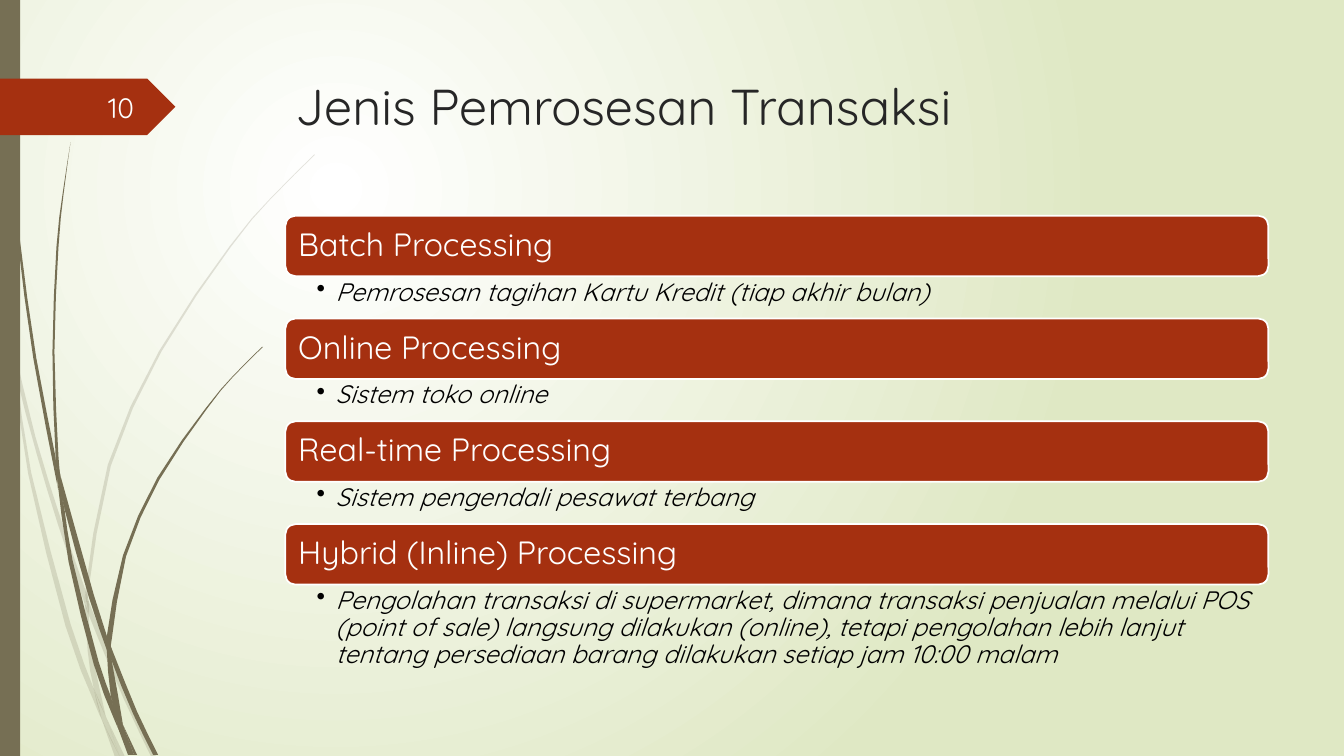
from lxml.etree import SubElement
from pptx import Presentation
from pptx.dml.color import RGBColor
from pptx.enum.shapes import MSO_SHAPE as Shape
from pptx.enum.text import MSO_ANCHOR as Anchor, MSO_AUTO_SIZE as AutoSize, PP_ALIGN as Align
from pptx.oxml import parse_xml
from pptx.oxml.ns import nsdecls, qn
from pptx.util import Inches, Pt

FONT = "Quicksand"
RUST = RGBColor(0xA5, 0x30, 0x10)
OLIVE = RGBColor(0x76, 0x6F, 0x54)
INK = RGBColor(0x26, 0x26, 0x26)
BLACK = RGBColor(0, 0, 0)
WHITE = RGBColor(0xFF, 0xFF, 0xFF)
NEAR_WHITE = RGBColor(0xFE, 0xFF, 0xFF)
PALE_GREEN = RGBColor(0xDF, 0xE8, 0xC4)

WIDTH, HEIGHT = 13.33, 7.5
LEFT, COLUMN = 2.83, 9.75
PITCH, BAR, LINE = 1.02, 0.6, 0.42
STEPS = 2

PALE_BLADES = [
    ([(0, 2.82), (.09, 3.22), (.11, 3.5)], [(0, 2.99), (.1, 3.44), (.11, 3.5)]),
    ([(.14, 3.45), (.35, 4.33), (.62, 5.2), (.85, 5.86)],
     [(.14, 3.45), (.17, 3.76), (.36, 4.49), (.58, 5.22), (.84, 5.99)]),
    ([(.88, 5.96), (.92, 6.07), (1.27, 6.92), (1.55, 7.51)],
     [(.88, 5.96), (.88, 6.1), (1.23, 6.94), (1.5, 7.51)]),
    ([(1.05, 7.11), (1.24, 7.51)], [(1.05, 7.11), (1.19, 7.51)]),
    ([(.11, 3.5), (.17, 3.76), (.31, 4.69), (.7, 6.19), (.93, 6.83), (1.01, 7.14)],
     [(.11, 3.5), (.28, 4.7), (.65, 6.21), (.92, 6.93), (1.01, 7.14)]),
    ([(.84, 5.99), (.88, 6.1), (.91, 6.46), (1.05, 7.11)],
     [(.84, 5.99), (.87, 6.46), (.93, 6.83), (1.05, 7.11)]),
    ([(3.12, 1.53), (2.68, 1.97), (2.28, 2.44), (1.58, 3.48), (1.07, 4.61), (.85, 5.84), (.88, 5.96)],
     [(3.12, 1.54), (2.68, 1.98), (2.29, 2.45), (1.6, 3.49), (1.1, 4.62), (.88, 5.84), (.88, 5.96)]),
    ([(1.01, 7.14), (1.19, 7.51)], [(1.01, 7.14), (1.14, 7.51)]),
    ([(.85, 5.86), (.88, 5.96), (.88, 6.1)], [(.85, 5.86), (.84, 5.99), (.88, 6.1)]),
    ([(.93, 6.83), (1.05, 7.11), (1.19, 7.51)], [(.93, 6.83), (1.01, 7.14), (1.19, 7.51)]),
]
DARK_BLADES = [
    ([(.04, 0), (.05, .48), (.08, 1.09), (.19, 2.32), (.36, 3.55), (.55, 4.53), (.57, 4.81)],
     [(.03, 0), (.04, .48), (.07, 1.1), (.17, 2.33), (.33, 3.55), (.56, 4.77), (.57, 4.81)]),
    ([(.6, 4.72), (.93, 5.9), (1.06, 6.31), (1.06, 6.45)],
     [(.6, 4.72), (.64, 5.05), (.88, 5.92), (1.06, 6.45)]),
    ([(1.1, 6.41), (1.13, 6.49), (1.36, 7.06), (1.57, 7.49)],
     [(1.1, 6.41), (1.11, 6.56), (1.32, 7.08), (1.52, 7.49)]),
    ([(.57, 4.77), (.64, 5.05), (.72, 5.56), (.98, 6.57), (1.1, 6.91), (1.17, 7.22)],
     [(.57, 4.77), (.68, 5.57), (.93, 6.59), (1.11, 7.08), (1.17, 7.22)]),
    ([(.7, 1.41), (.63, 1.93), (.58, 2.45), (.54, 3.49), (.58, 4.53), (.6, 4.72)],
     [(.7, 1.41), (.62, 1.93), (.56, 2.45), (.52, 3.49), (.55, 4.49), (.6, 4.72)]),
    ([(1.22, 7.19), (1.36, 7.49)], [(1.22, 7.19), (1.33, 7.49)]),
    ([(.55, 4.49), (.6, 4.72), (.64, 5.05)], [(.55, 4.49), (.57, 4.77), (.64, 5.05)]),
    ([(2.61, 3.44), (2.31, 3.74), (2.05, 4.06), (1.58, 4.76), (1.25, 5.52), (1.11, 6.33), (1.1, 6.41)],
     [(2.6, 3.44), (2.31, 3.73), (2.04, 4.05), (1.56, 4.74), (1.22, 5.51), (1.06, 6.31), (1.1, 6.41)]),
    ([(1.17, 7.22), (1.31, 7.49)], [(1.17, 7.22), (1.27, 7.49)]),
    ([(1.06, 6.45), (1.11, 6.56), (1.22, 7.19)], [(1.06, 6.45), (1.1, 6.91), (1.22, 7.19)]),
    ([(1.06, 6.31), (1.1, 6.41), (1.11, 6.56)], [(1.06, 6.31), (1.06, 6.45), (1.11, 6.56)]),
    ([(1.1, 6.91), (1.22, 7.19), (1.33, 7.49)], [(1.1, 6.91), (1.17, 7.22), (1.3, 7.49)]),
]
PROCESSING_TYPES = [
    ("Batch Processing", "Pemrosesan tagihan Kartu Kredit (tiap akhir bulan)", 1),
    ("Online Processing", "Sistem toko online", 1),
    ("Real-time Processing", "Sistem pengendali pesawat terbang", 1),
    ("Hybrid (Inline) Processing",
     "Pengolahan transaksi di supermarket, dimana transaksi penjualan melalui POS "
     "(point of sale) langsung dilakukan (online), tetapi pengolahan lebih lanjut "
     "tentang persediaan barang dilakukan setiap jam 10:00 malam", 3),
]


def paint(shape, color):
    shape.shadow.inherit = False
    shape.fill.solid()
    shape.fill.fore_color.rgb = color
    shape.line.fill.background()


def write(shape, text, size, color, insets=(.1, .05, .1, .05), anchor=Anchor.TOP, align=Align.LEFT):
    tf = shape.text_frame
    tf.word_wrap = True
    tf.auto_size = AutoSize.NONE
    tf.vertical_anchor = anchor
    tf.margin_left, tf.margin_top, tf.margin_right, tf.margin_bottom = map(Inches, insets)
    p = tf.paragraphs[0]
    p.text = text
    p.alignment = align
    p.font.name, p.font.size, p.font.color.rgb = FONT, Pt(size), color
    return p


def smooth(points):
    padded = [points[0], *points, points[-1]]
    curve = []
    for a, b, c, d in zip(padded, padded[1:], padded[2:], padded[3:]):
        for t in (i / STEPS for i in range(STEPS)):
            curve.append(tuple(
                q + t * (r - p + t * (2 * p - 5 * q + 4 * r - s + t * (3 * q - p - 3 * r + s))) / 2
                for p, q, r, s in zip(a, b, c, d)))
    return curve + [points[-1]]


def add_background(s):
    fill = s.background.fill
    fill.gradient()
    for stop, color in zip(fill.gradient_stops, (WHITE, PALE_GREEN)):
        stop.color.rgb = color
    grad = s.background._cSld.find(".//" + qn("a:gradFill"))
    grad.remove(grad.find(qn("a:lin")))
    grad.append(parse_xml(
        f'<a:path {nsdecls("a")} path="circle">'
        '<a:fillToRect l="50000" t="50000" r="100000" b="100000"/></a:path>'))


def add_blades(s, blades, opacity=100):
    for near, far in blades:
        outline = [(Inches(x), Inches(y)) for x, y in smooth(near) + smooth(far)[::-1]]
        builder = s.shapes.build_freeform(*outline[0])
        builder.add_line_segments(outline[1:])
        blade = builder.convert_to_shape()
        paint(blade, OLIVE)
        if opacity < 100:
            color = blade.fill._xPr.find(".//" + qn("a:srgbClr"))
            SubElement(color, qn("a:alpha"), val=str(opacity * 1000))


def add_side(s, number):
    add_blades(s, PALE_BLADES, 20)
    add_blades(s, DARK_BLADES)
    strip = s.shapes.add_shape(Shape.RECTANGLE, 0, 0, Inches(.2), Inches(HEIGHT))
    paint(strip, OLIVE)
    tag = s.shapes.add_shape(Shape.PENTAGON, 0, Inches(.78), Inches(1.74), Inches(.56))
    paint(tag, RUST)
    write(tag, number, 20, NEAR_WHITE, (.1, .05, .27, .05), Anchor.MIDDLE, Align.RIGHT)


def add_title(s, text, x, y, w, h):
    title = s.shapes.title
    title.left, title.top, title.width, title.height = map(Inches, (x, y, w, h))
    write(title, text, 36, INK)


def add_processing_type(s, name, example, lines, x, y, w):
    bar = s.shapes.add_shape(Shape.ROUNDED_RECTANGLE, *map(Inches, (x, y, w, BAR)))
    paint(bar, RUST)
    bar.line.color.rgb = WHITE
    bar.line.width = Pt(1.25)
    p = write(bar, name, 23, WHITE, (.1, .1, .1, .1), Anchor.MIDDLE)
    p.line_spacing = .9

    height = LINE + (lines - 1) * .25
    detail = s.shapes.add_textbox(*map(Inches, (x, y + BAR, w, height)))
    p = write(detail, example, 18, BLACK, (.31, .03, .18, .03))
    p.font.italic = True
    p.line_spacing = .9
    pPr = p._p.get_or_add_pPr()
    pPr.set("marL", str(Inches(.19)))
    pPr.set("indent", str(-Inches(.19)))
    pPr.insert_element_before(
        parse_xml(f'<a:buChar {nsdecls("a")} char="•"/>'), "a:tabLst", "a:defRPr", "a:extLst")


def main():
    prs = Presentation()
    prs.slide_width, prs.slide_height = Inches(WIDTH), Inches(HEIGHT)
    s = prs.slides.add_slide(prs.slide_layouts[5])
    add_background(s)
    add_side(s, "10")
    add_title(s, "Jenis Pemrosesan Transaksi", LEFT, .69, COLUMN, 1.4)
    for row, (name, example, lines) in enumerate(PROCESSING_TYPES):
        add_processing_type(s, name, example, lines, LEFT, 2.14 + row * PITCH, COLUMN)
    prs.save("out.pptx")


if __name__ == "__main__":
    main()
